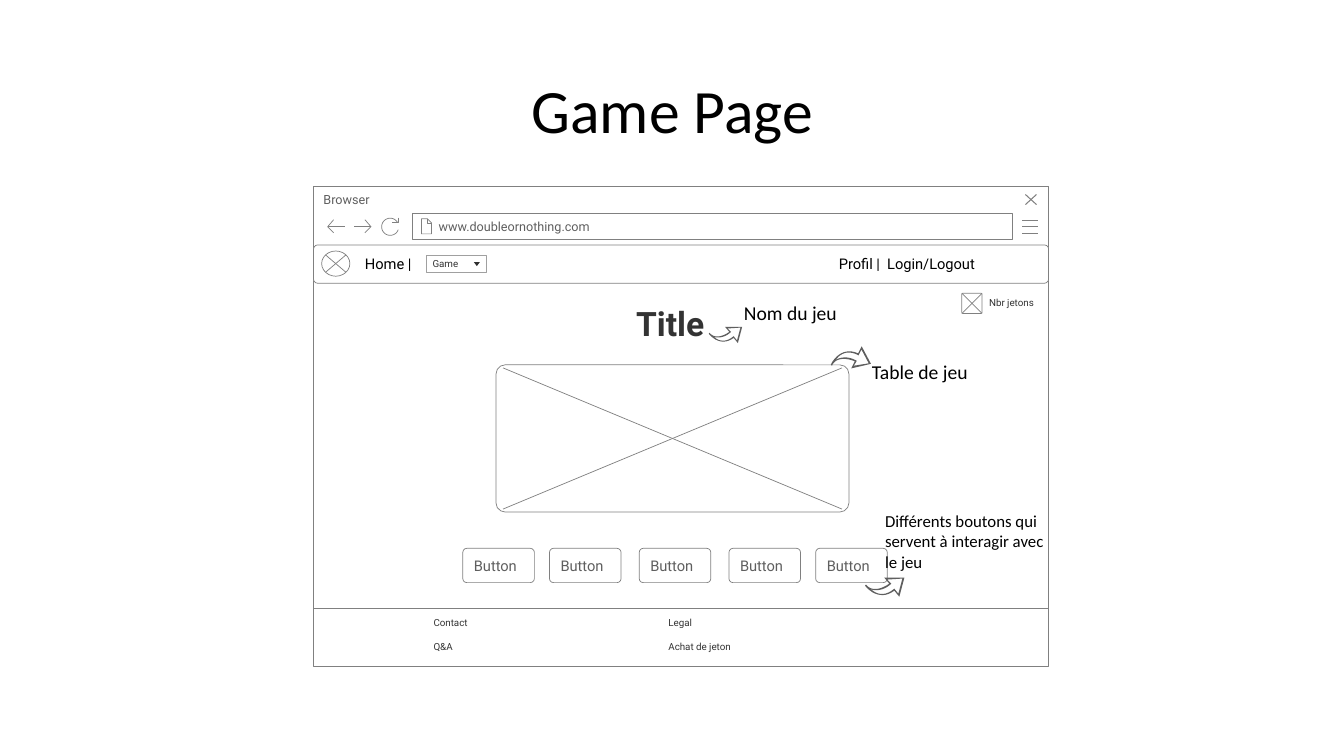
from collections import namedtuple
from math import cos, radians, sin

from lxml.etree import SubElement
from pptx import Presentation
from pptx.dml.color import RGBColor
from pptx.enum.shapes import MSO_CONNECTOR, MSO_SHAPE
from pptx.enum.text import MSO_ANCHOR, PP_ALIGN
from pptx.oxml.ns import qn
from pptx.util import Inches, Pt

COLORS = {"white": "FFFFFF", "black": "000000", "line": "808080",
          "select": "A0A0A0", "gray": "5F5F5F", "dark": "333333", "marker": "303030"}
Box = namedtuple("Box", "left top width height")

ARROW_OUTER = [(0, 0), ((0.02, 0.03), (0.05, 0.05), (0.08, 0.07)),
               ((0.14, 0.1), (0.21, 0.11), (0.29, 0.05)),
               (0.34, 0.11), (0.39, -0.08), (0.19, -0.08), (0.24, -0.02),
               ((0.17, 0.03), (0.11, 0.04), (0.07, 0.03)),
               ((0.03, 0.02), (0.01, -0.01), (0.01, -0.01))]
ARROW_INNER = [(0.05, 0.04), ((0.06, 0.04), (0.06, 0.04), (0.07, 0.04)),
               ((0.11, 0.05), (0.18, 0.05), (0.25, -0.01)),
               (0.26, -0.02), (0.22, -0.06), (0.37, -0.07), (0.33, 0.08),
               (0.29, 0.03), ((0.21, 0.1), (0.14, 0.09), (0.09, 0.06)),
               ((0.08, 0.05), (0.06, 0.04), (0.05, 0.04))]


def rgb(name):
    return RGBColor.from_string(COLORS[name])


def paint(shape, fill, line, weight=0.5):
    shape.shadow.inherit = False
    if fill:
        shape.fill.solid()
        shape.fill.fore_color.rgb = rgb(fill)
    else:
        shape.fill.background()
    if line:
        shape.line.color.rgb = rgb(line)
        shape.line.width = Pt(weight)
    else:
        shape.line.fill.background()


def write(shape, text, size, color, font="Roboto", bold=False,
          insets=(0, 0), anchor=MSO_ANCHOR.TOP, wrap=True):
    frame = shape.text_frame
    frame.word_wrap = wrap
    frame.vertical_anchor = anchor
    frame.margin_left = frame.margin_right = Inches(insets[0])
    frame.margin_top = frame.margin_bottom = Inches(insets[1])
    para = frame.paragraphs[0]
    para.text = text
    para.alignment = PP_ALIGN.LEFT
    para.font.size = Pt(size)
    para.font.name = font
    para.font.bold = bold
    para.font.color.rgb = rgb(color)


def add_label(page, box, text, size=7, color="dark", **style):
    label = page.shapes.add_textbox(*map(Inches, box))
    write(label, text, size, color, **style)


def add_block(page, box, kind=MSO_SHAPE.RECTANGLE, fill="white", line="line", radius=None):
    block = page.shapes.add_shape(kind, *map(Inches, box))
    if radius is not None:
        block.adjustments[0] = radius / min(box.width, box.height)
    paint(block, fill, line)
    return block


def add_line(page, start, end):
    line = page.shapes.add_connector(MSO_CONNECTOR.STRAIGHT, *map(Inches, start + end))
    line.line.color.rgb = rgb("line")
    line.line.width = Pt(0.5)
    SubElement(line._element.spPr, qn("a:effectLst"))


def add_cross(page, box, inset_x, inset_y):
    left, right = box.left + inset_x, box.left + box.width - inset_x
    top, bottom = box.top + inset_y, box.top + box.height - inset_y
    add_line(page, (left, top), (right, bottom))
    add_line(page, (left, bottom), (right, top))


def add_outline(page, left, top, strokes, closed=False, fill=None, line="line", weight=0.5):
    placed = [[(Inches(left + x), Inches(top + y)) for x, y in stroke] for stroke in strokes]
    builder = page.shapes.build_freeform(*placed[0][0])
    for index, stroke in enumerate(placed):
        if index:
            builder.move_to(*stroke[0])
        builder.add_line_segments(stroke[1:], close=closed)
    paint(builder.convert_to_shape(), fill, line, weight)


def flatten(contour, steps=8):
    points = [contour[0]]
    for part in contour[1:]:
        if len(part) == 2:
            points.append(part)
            continue
        first, (second, third, last) = points[-1], part
        for step in range(1, steps + 1):
            t = step / steps
            u = 1 - t
            points.append(tuple(u ** 3 * a + 3 * u * u * t * b + 3 * u * t * t * c + t ** 3 * d
                                for a, b, c, d in zip(first, second, third, last)))
    return points


def add_callout_arrow(page, left, top, scale=1.0, flip=1, turn=0):
    across, along = sin(radians(turn)), cos(radians(turn))
    strokes = [[(scale * (x * along - flip * y * across), scale * (x * across + flip * y * along))
                for x, y in flatten(contour)] for contour in (ARROW_OUTER, ARROW_INNER)]
    add_outline(page, left, top, strokes, closed=True, fill="gray", line=None)


def add_title(page, box):
    title = page.shapes.title
    title.left, title.top, title.width, title.height = map(Inches, box)
    write(title, "Game Page", 44, "black", font="Calibri",
          insets=(0.1, 0.05), anchor=MSO_ANCHOR.MIDDLE)
    para = title.text_frame.paragraphs[0]
    para.alignment = PP_ALIGN.CENTER
    para.line_spacing = 0.9


def add_browser(page, box):
    left, top = box.left, box.top
    add_block(page, box)
    bar = add_block(page, Box(left, top, box.width, 0.59))
    write(bar, "Browser", 9, "gray", insets=(0.1, 0.05))
    add_outline(page, left + 7.03, top + 0.34,
                [[(0, y), (0.16, y)] for y in (0, 0.06, 0.12)])
    add_outline(page, left + 7.06, top + 0.08,
                [[(0, 0), (0.11, 0.1)], [(0.11, 0), (0, 0.1)]], weight=0.75)
    address = add_block(page, Box(left + 0.98, top + 0.27, 5.95, 0.26))
    write(address, "www.doubleornothing.com", 9, "gray",
          insets=(0.26, 0.05), anchor=MSO_ANCHOR.MIDDLE)
    add_outline(page, left + 1.07, top + 0.32,
                [[(0.06, 0), (0.06, 0.05), (0.1, 0.05)],
                 [(0.06, 0), (0, 0), (0, 0.15), (0.1, 0.15), (0.1, 0.04), (0.06, 0)]])
    for offset, tail, head in ((0.14, 0.17, 0), (0.4, 0, 0.17)):
        barb = head + (0.06 if head < tail else -0.06)
        add_outline(page, left + offset, top + 0.33,
                    [[(barb, 0), (head, 0.07), (barb, 0.13)], [(head, 0.07), (tail, 0.07)]])
    ring = [(0.085 * cos(radians(angle)), 0.085 * sin(radians(angle)))
            for angle in range(20, 331, 10)]
    add_outline(page, left + 0.76, top + 0.4,
                [ring, [(0.08, -0.09), (0.08, -0.04), (0.02, -0.04)]])


def add_navigation(page, box):
    left, top = box.left, box.top
    add_block(page, box, MSO_SHAPE.ROUNDED_RECTANGLE, radius=0.04)
    for offset, width, text in ((0.51, 0.55, "Home |"), (5.21, 0.48, "Profil |"),
                                (5.69, 1, "Login/Logout")):
        add_label(page, Box(left + offset, top, width, box.height), text, 10.5, "black",
                  anchor=MSO_ANCHOR.MIDDLE, wrap=False)
    badge = Box(left + 0.08, top + 0.06, 0.28, 0.25)
    add_block(page, badge, MSO_SHAPE.OVAL)
    add_cross(page, badge, 0.04, 0.04)
    selector = add_block(page, Box(left + 1.12, top + 0.1, 0.59, 0.17), line="select")
    write(selector, "Game", 7, "dark", insets=(0.06, 0), anchor=MSO_ANCHOR.MIDDLE)
    add_block(page, Box(left + 1.59, top + 0.17, 0.06, 0.04),
              MSO_SHAPE.FLOWCHART_MERGE, fill="marker", line=None)


def add_footer(page, box):
    add_line(page, (box.left, box.top), (box.left + box.width, box.top))
    for column, texts in enumerate((("Contact", "Q&A"), ("Legal", "Achat de jeton"))):
        for row, text in enumerate(texts):
            add_label(page, Box(box.left + 1.19 + 2.33 * column, box.top + 0.08 + 0.24 * row,
                                0.8, 0.12), text, wrap=False)


def add_game(page, box):
    left, top = box.left, box.top
    note = dict(color="black", font="Calibri", insets=(0.1, 0.05))
    table = Box(left + 1.81, top + 0.81, 3.5, 1.46)
    add_block(page, table, MSO_SHAPE.ROUNDED_RECTANGLE, radius=0.09)
    add_cross(page, table, 0.07, 0.03)
    add_label(page, Box(left + 3.2, top + 0.2, 0.72, 0.8), "Title", 24, bold=True, wrap=False)
    add_callout_arrow(page, left + 3.92, top + 0.5, scale=0.85)
    add_label(page, Box(left + 4.17, top + 0.13, 1.13, 0.34), "Nom du jeu", 14, wrap=False, **note)
    add_callout_arrow(page, left + 5.13, top + 0.81, flip=-1, turn=-13)
    add_label(page, Box(left + 5.44, top + 0.71, 1.16, 0.34), "Table de jeu", 14,
              wrap=False, **note)
    for offset in (1.48, 2.34, 3.23, 4.12, 4.98):
        button = add_block(page, Box(left + offset, top + 2.63, 0.71, 0.34),
                           MSO_SHAPE.ROUNDED_RECTANGLE, radius=0.04)
        write(button, "Button", 10.5, "gray", insets=(0.1, 0.07), anchor=MSO_ANCHOR.MIDDLE)
    add_callout_arrow(page, left + 5.47, top + 3)
    add_label(page, Box(left + 5.57, top + 2.21, 1.86, 0.71),
              "Différents boutons qui servent à interagir avec le jeu", 12, **note)
    token = Box(left + 6.43, top + 0.1, 0.2, 0.2)
    add_block(page, token, MSO_SHAPE.ROUNDED_RECTANGLE, radius=0.01)
    add_cross(page, token, 0, 0)
    add_label(page, Box(left + 6.7, top + 0.13, 0.48, 0.12), "Nbr jetons", wrap=False)


def main():
    deck = Presentation()
    deck.slide_width, deck.slide_height = Inches(13.33), Inches(7.5)
    page = deck.slides.add_slide(deck.slide_layouts[5])
    window = Box(3.11, 1.85, 7.29, 4.76)
    add_title(page, Box(0.92, 0.4, 11.5, 1.45))
    add_browser(page, window)
    add_navigation(page, Box(window.left, 2.43, window.width, 0.38))
    add_footer(page, Box(window.left, 6.04, window.width, 0.57))
    add_game(page, Box(window.left, 2.81, window.width, 3.23))
    deck.save("out.pptx")


if __name__ == "__main__":
    main()
